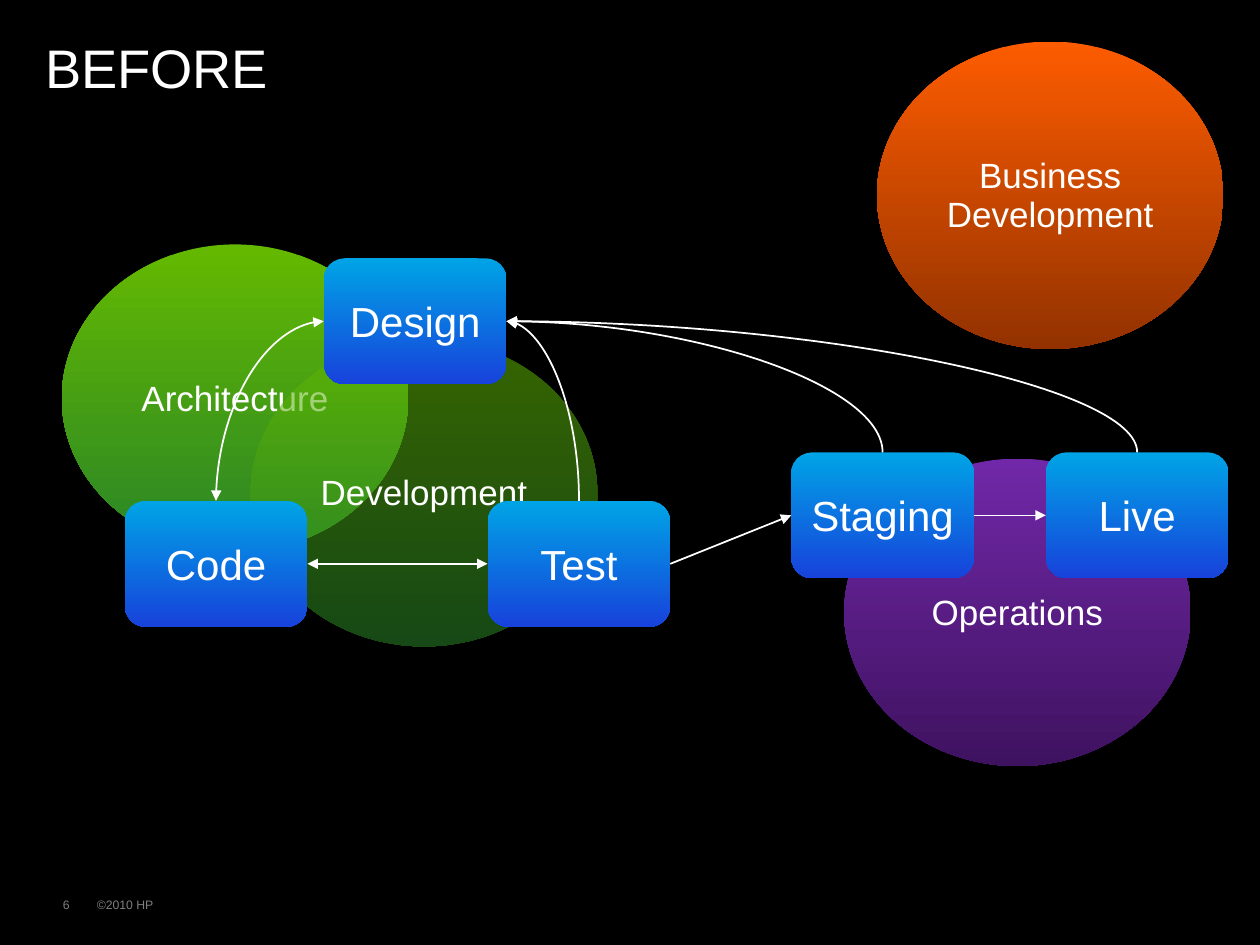
from typing import NamedTuple

from lxml.etree import SubElement
from pptx import Presentation
from pptx.dml.color import RGBColor
from pptx.enum.shapes import MSO_CONNECTOR, MSO_SHAPE
from pptx.enum.text import MSO_ANCHOR, PP_ALIGN
from pptx.oxml.ns import qn
from pptx.util import Inches, Pt

BLACK = RGBColor(0x00, 0x00, 0x00)
WHITE = RGBColor(0xFF, 0xFF, 0xFF)
GREY = RGBColor(0x7F, 0x7F, 0x7F)
ORANGE = (RGBColor(0xFD, 0x5C, 0x00), RGBColor(0x93, 0x32, 0x00))
GREEN = (RGBColor(0x64, 0xB9, 0x00), RGBColor(0x29, 0x85, 0x27))
PURPLE = (RGBColor(0x71, 0x28, 0xA8), RGBColor(0x3F, 0x12, 0x60))
BLUE = (RGBColor(0x00, 0xA4, 0xE6), RGBColor(0x17, 0x42, 0xDB))

SLIDE_WIDTH, SLIDE_HEIGHT = Inches(10), Inches(7.5)
COLUMNS, ROWS = 100, 75
TOP, LEFT, RIGHT = 0, 1, 3  # connection sites of a rounded rectangle


class Style(NamedTuple):
    geometry: MSO_SHAPE
    columns: float
    rows: float
    size: float
    top_inset: float
    line_spacing: float


class Node(NamedTuple):
    text: str
    column: float
    row: float
    gradient: tuple[RGBColor, RGBColor]
    opacity: int = 100


class Label(NamedTuple):
    text: str
    column: float
    row: float
    columns: float
    rows: float
    size: float
    color: RGBColor
    top_inset: float
    line_spacing: float | Pt


class Link(NamedTuple):
    start: str
    start_site: int
    end: str
    end_site: int
    arrows: tuple[str, ...]
    curved: bool = False
    width: float = 1


TEAM = Style(MSO_SHAPE.OVAL, 27.5, 24.4, 20, 0.07, 0.93)
STAGE = Style(MSO_SHAPE.ROUNDED_RECTANGLE, 14.5, 10, 24, 0.12, 0.79)

FOOTERS = [
    Label("©2010 HP", 6.7, 70.7, 43.1, 2.4, 7, GREY, 0.06, 0.93),
    Label("6", 4, 70.7, 4.2, 2.4, 7, GREY, 0.06, 0.93),
]
TITLE = Label("BEFORE", 2.6, 3.1, 91.6, 5.5, 31, WHITE, 0.05, Pt(30.9))
TEAMS = [
    Node("Business Development", 69.6, 3.3, ORANGE),
    Node("Architecture", 4.9, 19.4, GREEN),
    Node("Operations", 67, 36.4, PURPLE),
    Node("Development", 19.9, 26.9, GREEN, 55),
]
STAGES = [
    Node("Design", 25.7, 20.5, BLUE),
    Node("Code", 9.9, 39.75, BLUE),
    Node("Test", 38.7, 39.75, BLUE),
    Node("Staging", 62.8, 35.9, BLUE),
    Node("Live", 83, 35.9, BLUE),
]
# Curves leave Design sideways and meet the other stage from above.
LINKS = [
    Link("Design", LEFT, "Code", TOP, ("headEnd", "tailEnd"), True),
    Link("Design", RIGHT, "Test", TOP, ("headEnd",), True),
    Link("Design", RIGHT, "Staging", TOP, ("headEnd",), True),
    Link("Design", RIGHT, "Live", TOP, ("headEnd",), True),
    Link("Code", RIGHT, "Test", LEFT, ("headEnd", "tailEnd")),
    Link("Test", RIGHT, "Staging", LEFT, ("tailEnd",)),
    Link("Staging", RIGHT, "Live", LEFT, ("tailEnd",), width=0.5),
]


def grid_box(column: float, row: float, columns: float, rows: float) -> tuple[int, ...]:
    return (
        round(SLIDE_WIDTH * column / COLUMNS),
        round(SLIDE_HEIGHT * row / ROWS),
        round(SLIDE_WIDTH * columns / COLUMNS),
        round(SLIDE_HEIGHT * rows / ROWS),
    )


def write_text(shape, text: str, size: float, color: RGBColor, top_inset: float,
               line_spacing, alignment: PP_ALIGN, anchor: MSO_ANCHOR) -> None:
    frame = shape.text_frame
    frame.word_wrap = True
    frame.vertical_anchor = anchor
    frame.margin_left = frame.margin_right = Inches(0.1)
    frame.margin_top, frame.margin_bottom = Inches(top_inset), Inches(0.05)
    paragraph = frame.paragraphs[0]
    paragraph.alignment = alignment
    paragraph.line_spacing = line_spacing
    run = paragraph.add_run()
    run.text = text
    run.font.name = "Arial"
    run.font.size = Pt(size)
    run.font.color.rgb = color


def add_label(slide, label: Label) -> None:
    shape = slide.shapes.add_textbox(
        *grid_box(label.column, label.row, label.columns, label.rows))
    write_text(shape, label.text, label.size, label.color, label.top_inset,
               label.line_spacing, PP_ALIGN.LEFT, MSO_ANCHOR.TOP)


def fill_downwards(shape, node: Node) -> None:
    """Fill the shape with the node's gradient, first colour on top."""
    shape.fill.gradient()
    shape.fill.gradient_angle = 270
    for stop, color in zip(shape.fill.gradient_stops, node.gradient):
        stop.color.rgb = color
    if node.opacity < 100:
        for color_element in shape.element.spPr.iter(qn("a:srgbClr")):
            SubElement(color_element, qn("a:alpha"), val=str(node.opacity * 1000))


def add_node(slide, node: Node, style: Style):
    shape = slide.shapes.add_shape(
        style.geometry, *grid_box(node.column, node.row, style.columns, style.rows))
    shape.shadow.inherit = False
    fill_downwards(shape, node)
    shape.line.fill.background()
    write_text(shape, node.text, style.size, WHITE, style.top_inset,
               style.line_spacing, PP_ALIGN.CENTER, MSO_ANCHOR.MIDDLE)
    return shape


def add_link(slide, link: Link, stages: dict) -> None:
    kind = MSO_CONNECTOR.CURVE if link.curved else MSO_CONNECTOR.STRAIGHT
    connector = slide.shapes.add_connector(kind, 0, 0, 0, 0)
    connector.begin_connect(stages[link.start], link.start_site)
    connector.end_connect(stages[link.end], link.end_site)
    connector.line.color.rgb = WHITE
    connector.line.width = Pt(link.width)
    properties = connector.element.spPr
    if link.curved:
        properties.find(qn("a:prstGeom")).set("prst", "curvedConnector2")
    for arrow in link.arrows:
        SubElement(properties.find(qn("a:ln")), qn(f"a:{arrow}"), type="triangle")
    SubElement(properties, qn("a:effectLst"))


def main() -> None:
    presentation = Presentation()
    presentation.slide_width, presentation.slide_height = SLIDE_WIDTH, SLIDE_HEIGHT
    slide = presentation.slides.add_slide(presentation.slide_layouts[6])
    slide.background.fill.solid()
    slide.background.fill.fore_color.rgb = BLACK

    for footer in FOOTERS:
        add_label(slide, footer)
    for team in TEAMS:
        add_node(slide, team, TEAM)
    add_label(slide, TITLE)
    stages = {stage.text: add_node(slide, stage, STAGE) for stage in STAGES}
    for link in LINKS:
        add_link(slide, link, stages)

    presentation.save("out.pptx")


if __name__ == "__main__":
    main()
